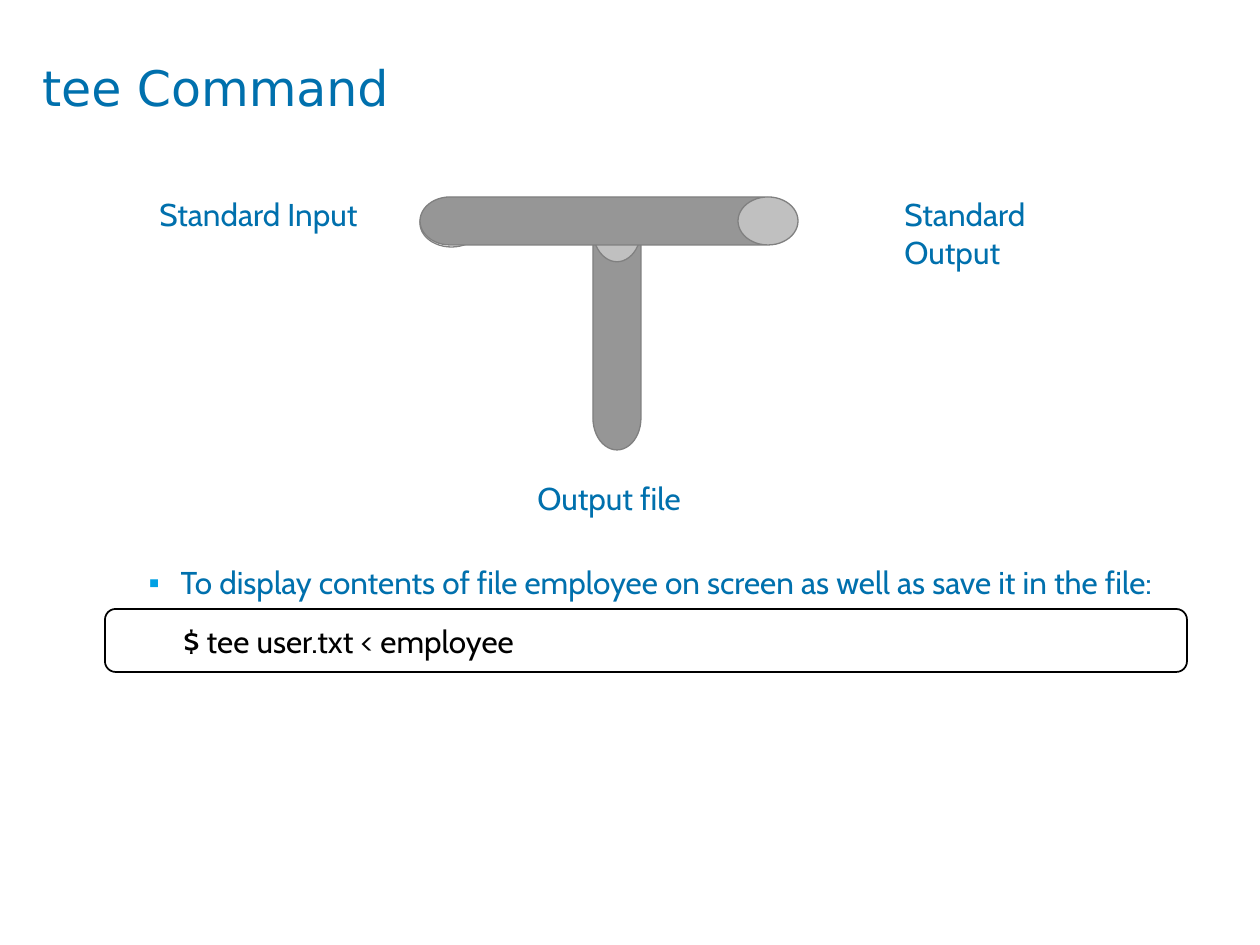
from typing import NamedTuple

from lxml.etree import SubElement
from pptx import Presentation
from pptx.dml.color import RGBColor
from pptx.enum.shapes import MSO_SHAPE as Preset
from pptx.enum.text import MSO_ANCHOR as Anchor, MSO_AUTO_SIZE as AutoSize, PP_ALIGN as Align
from pptx.oxml.ns import qn
from pptx.util import Emu, Pt

BLUE = RGBColor(0x00, 0x70, 0xAD)
SKY = RGBColor(0x00, 0xA1, 0xE4)
PIPE_GREY = RGBColor(0x96, 0x96, 0x96)
EDGE_GREY = RGBColor(0x80, 0x80, 0x80)
BLACK = RGBColor(0, 0, 0)
WHITE = RGBColor(0xFF, 0xFF, 0xFF)

PX_PER_INCH = 126
TEXT_INDENT = 63
BULLET_HANG = 32


class Box(NamedTuple):
    left: int
    top: int
    width: int
    height: int


class Label(NamedTuple):
    text: str
    box: Box


class Part(NamedTuple):
    preset: Preset
    box: Box
    fill: RGBColor | None = None
    line: RGBColor = EDGE_GREY
    line_width: float = 0.75
    rotation: int = 0
    adjust: float | None = None


PIPES = [
    Part(Preset.OVAL, Box(420, 199, 63, 48)),
    Part(Preset.CAN, Box(593, 198, 48, 252), PIPE_GREY, adjust=1.33),
    Part(Preset.CAN, Box(585, 32, 48, 378), PIPE_GREY, rotation=90, adjust=1.25),
]
LABELS = [
    Label("Standard Input", Box(84, 189, 305, 50)),
    Label("Standard Output", Box(829, 189, 305, 89)),
    Label("Output file", Box(462, 473, 305, 50)),
]
CODE_FRAME = Part(Preset.ROUNDED_RECTANGLE, Box(105, 609, 1082, 63),
                  WHITE, BLACK, 1, adjust=0.17)


def px(length: int) -> Emu:
    return Emu(round(length * 914400 / PX_PER_INCH))


def place(shape, box: Box) -> None:
    shape.left, shape.top, shape.width, shape.height = map(px, box)


def write(shape, text: str, *, size: int = 18, font: str = "Cabin",
          color: RGBColor = BLUE, indent: int = TEXT_INDENT, hang: int = 0,
          anchor: Anchor = Anchor.TOP, bullet: str = "",
          line_spacing: Pt | None = None, inset: int | None = None) -> None:
    """Put one formatted paragraph into a shape."""
    frame = shape.text_frame
    frame.word_wrap = True
    frame.auto_size = AutoSize.NONE
    frame.vertical_anchor = anchor
    if inset is not None:
        frame.margin_left = frame.margin_right = px(inset)
        frame.margin_top = frame.margin_bottom = px(inset)
    frame.text = text
    paragraph = frame.paragraphs[0]
    properties = paragraph._p.get_or_add_pPr()
    properties.set("marL", str(px(indent)))
    properties.set("indent", str(px(-hang)))
    if bullet:
        bullet_color = SubElement(properties, qn("a:buClr"))
        SubElement(bullet_color, qn("a:srgbClr"), val=str(SKY))
        SubElement(properties, qn("a:buChar"), char=bullet)
    paragraph.alignment = Align.LEFT
    paragraph.space_before = Pt(0)
    if line_spacing is not None:
        paragraph.line_spacing = line_spacing
    run_font = paragraph.runs[0].font
    run_font.name, run_font.size = font, Pt(size)
    run_font.color.rgb = color


def draw_part(slide, part: Part):
    shape = slide.shapes.add_shape(part.preset, *map(px, part.box))
    shape.shadow.inherit = False
    shape.rotation = part.rotation
    if part.adjust is not None:
        shape.adjustments[0] = part.adjust
    if part.fill is None:
        shape.fill.background()
    else:
        shape.fill.solid()
        shape.fill.fore_color.rgb = part.fill
    shape.line.color.rgb = part.line
    shape.line.width = Pt(part.line_width)
    return shape


def draw_label(slide, label: Label) -> None:
    write(slide.shapes.add_textbox(*map(px, label.box)), label.text)


def main() -> None:
    deck = Presentation()
    deck.slide_width, deck.slide_height = px(1260), px(945)
    slide = deck.slides.add_slide(deck.slide_layouts[1])

    # Title
    title = slide.shapes.title
    place(title, Box(42, 57, 1176, 118))
    write(title, "tee Command", size=28, font="DejaVu Sans", indent=0, inset=0)

    # T-shaped pipe with its three ends named
    for pipe in PIPES:
        draw_part(slide, pipe)
    for label in LABELS:
        draw_label(slide, label)

    # Explanation
    explanation = slide.placeholders[1]
    place(explanation, Box(105, 525, 1079, 215))
    write(explanation,
          "To display contents of file employee on screen as well as save it in the file:",
          hang=BULLET_HANG, bullet="▪", line_spacing=Pt(40))

    # Command
    command = draw_part(slide, CODE_FRAME)
    write(command, "$ tee user.txt < employee", color=BLACK, anchor=Anchor.MIDDLE)

    deck.save("out.pptx")


if __name__ == "__main__":
    main()
